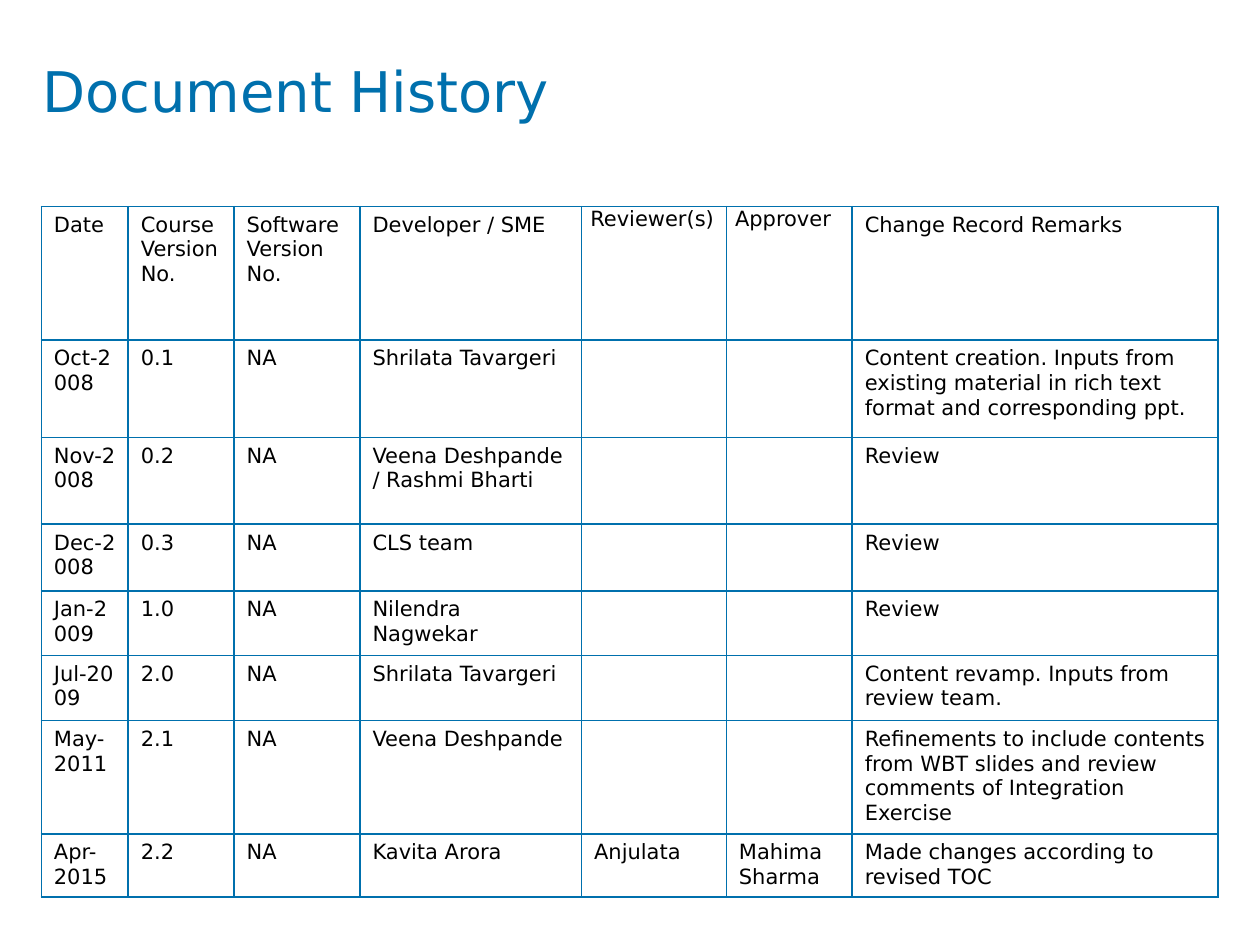
from dataclasses import dataclass

from lxml.etree import SubElement
from pptx import Presentation
from pptx.dml.color import RGBColor
from pptx.enum.text import MSO_ANCHOR
from pptx.oxml import parse_xml
from pptx.oxml.ns import nsdecls
from pptx.util import Pt


@dataclass(frozen=True)
class Theme:
    font: str = "DejaVu Sans"
    accent: str = "0070AD"
    ink: str = "000000"
    paper: str = "FFFFFF"
    title_size: float = 32
    cell_size: float = 12
    rule_width: float = 1


THEME = Theme()

COLUMN_WIDTHS = (49.7, 60.5, 72, 126.7, 82.8, 72, 209.2)
ROW_HEIGHTS = (76.3, 55.6, 49.7, 38.2, 36.7, 37.4, 63.3, 35.3)
HEADINGS = ("Date", "Course Version No.", "Software Version No.", "Developer / SME",
            "Reviewer(s)", "Approver", "Change Record Remarks")
TIGHT_HEADINGS = ("Reviewer(s)", "Approver")
REVISIONS = (
    ("Oct-2008", "0.1", "NA", "Shrilata Tavargeri", "", "",
     "Content creation. Inputs from existing material in rich text format "
     "and corresponding ppt."),
    ("Nov-2008", "0.2", "NA", "Veena Deshpande / Rashmi Bharti", "", "", "Review"),
    ("Dec-2008", "0.3", "NA", "CLS team", "", "", "Review"),
    ("Jan-2009", "1.0", "NA", "Nilendra Nagwekar", "", "", "Review"),
    ("Jul-2009", "2.0", "NA", "Shrilata Tavargeri", "", "",
     "Content revamp. Inputs from review team."),
    ("May-2011", "2.1", "NA", "Veena Deshpande", "", "",
     "Refinements to include contents from WBT slides and review comments "
     "of Integration Exercise"),
    ("Apr- 2015", "2.2", "NA", "Kavita Arora", "Anjulata", "Mahima Sharma",
     "Made changes according to revised TOC"),
)


def style_font(font, size, color):
    font.name = THEME.font
    font.size = Pt(size)
    font.color.rgb = RGBColor.from_string(color)


def set_margins(target, horizontal, vertical):
    target.margin_left = target.margin_right = Pt(horizontal)
    target.margin_top = target.margin_bottom = Pt(vertical)


def add_title(page, text, left, top, width, height):
    box = page.shapes.add_textbox(Pt(left), Pt(top), Pt(width), Pt(height))
    frame = box.text_frame
    frame.word_wrap = True
    frame.vertical_anchor = MSO_ANCHOR.TOP
    set_margins(frame, 0, 0)
    frame.text = text
    style_font(frame.paragraphs[0].runs[0].font, THEME.title_size, THEME.accent)


def add_borders(cell):
    """Rule all four sides; the lines must precede the fill in the cell."""
    properties = cell._tc.get_or_add_tcPr()
    for position, side in enumerate(("lnL", "lnR", "lnT", "lnB")):
        line = parse_xml(f'<a:{side} {nsdecls("a")} w="{Pt(THEME.rule_width)}"/>')
        fill = SubElement(line, line.tag.replace(side, "solidFill"))
        SubElement(fill, line.tag.replace(side, "srgbClr"), val=THEME.accent)
        properties.insert(position, line)


def fill_cell(cell, text):
    cell.fill.solid()
    cell.fill.fore_color.rgb = RGBColor.from_string(THEME.paper)
    add_borders(cell)
    cell.vertical_anchor = MSO_ANCHOR.TOP
    set_margins(cell, *((5, 0) if text in TIGHT_HEADINGS else (7.2, 3.6)))
    cell.text_frame.text = text
    for span in cell.text_frame.paragraphs[0].runs:
        style_font(span.font, THEME.cell_size, THEME.ink)


def add_history_table(page, records, left, top, width, height):
    """Share the box among columns and rows in proportion to their lengths."""
    table = page.shapes.add_table(len(records), len(COLUMN_WIDTHS), Pt(left), Pt(top),
                                  Pt(width), Pt(height)).table
    table.first_row = table.horz_banding = False
    for column, share in zip(table.columns, COLUMN_WIDTHS):
        column.width = Pt(width * share / sum(COLUMN_WIDTHS))
    for row, share, record in zip(table.rows, ROW_HEIGHTS, records):
        row.height = Pt(height * share / sum(ROW_HEIGHTS))
        for cell, text in zip(row.cells, record):
            fill_cell(cell, text)


def build_history_page(deck):
    page = deck.slides.add_slide(deck.slide_layouts[6])
    add_title(page, "Document History", 24, 32.4, 672, 67.7)
    add_history_table(page, (HEADINGS, *REVISIONS), 23.6, 118, 672.5, 392.5)


def main():
    deck = Presentation()
    deck.slide_width, deck.slide_height = Pt(720), Pt(540)
    build_history_page(deck)
    deck.save("out.pptx")


if __name__ == "__main__":
    main()
